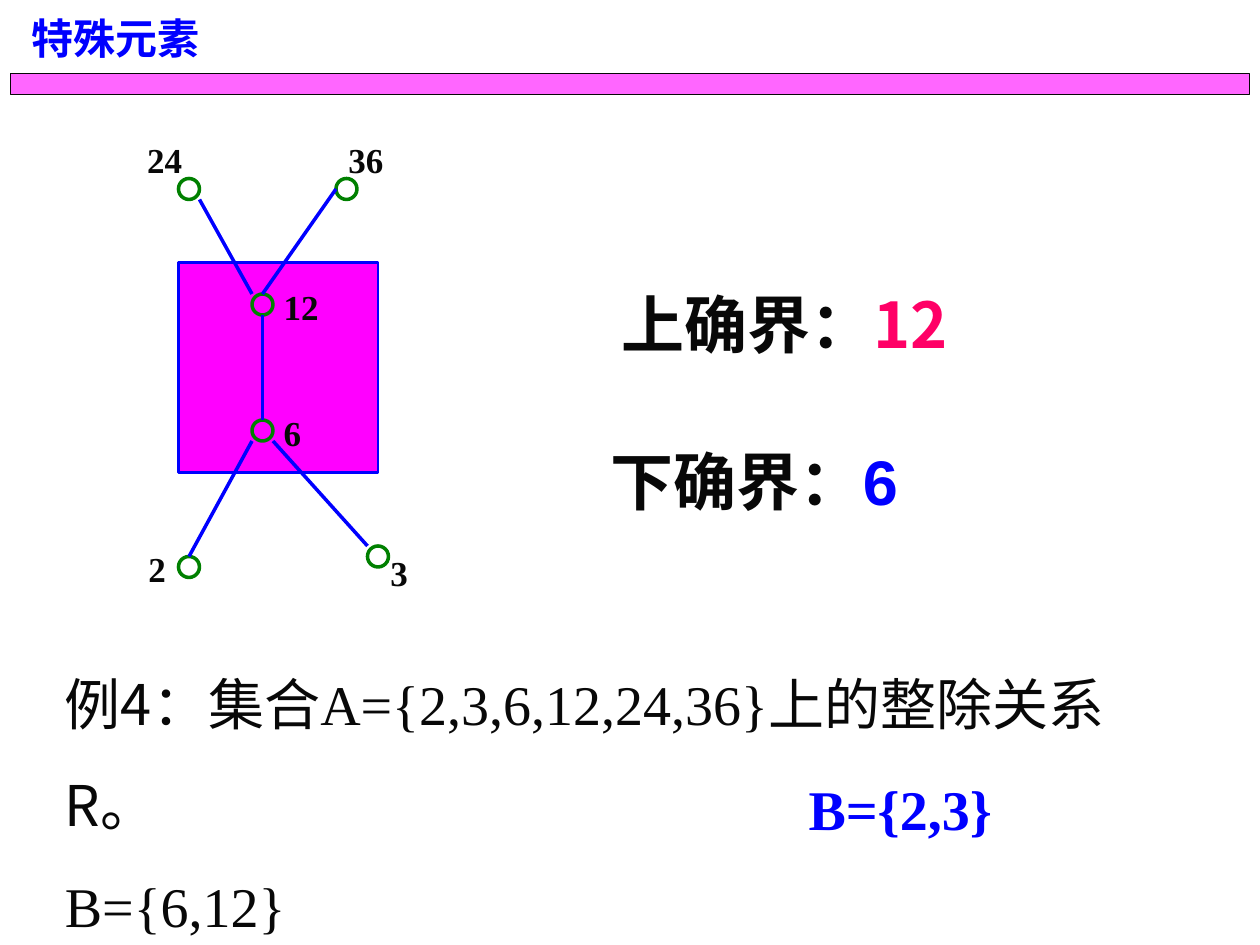
from lxml import etree
from pptx import Presentation
from pptx.dml.color import RGBColor
from pptx.enum.shapes import MSO_CONNECTOR, MSO_SHAPE
from pptx.enum.text import MSO_AUTO_SIZE
from pptx.oxml.ns import qn
from pptx.util import Pt

RECT, OVAL = MSO_SHAPE.RECTANGLE, MSO_SHAPE.OVAL
STRAIGHT = MSO_CONNECTOR.STRAIGHT
GROW = MSO_AUTO_SIZE.SHAPE_TO_FIT_TEXT

INK, BLUE, GREEN, MAGENTA, PINK = "080808", "0000FF", "008000", "FF00FF", "FF0066"
SERIF, SANS, CJK = "Times New Roman", "Arial", "Noto Sans CJK SC"
NODE = 12


def color(hex_text):
    return RGBColor.from_string(hex_text)


class SlideWriter:
    def __init__(self, page):
        self.page = page

    def shape(self, kind, left, top, width, height, line, weight, fill=None, alpha=None):
        shape = self.page.shapes.add_shape(kind, Pt(left), Pt(top), Pt(width), Pt(height))
        shape.shadow.inherit = False
        shape.line.color.rgb = color(line)
        shape.line.width = Pt(weight)
        if fill is None:
            shape.fill.background()
            return
        shape.fill.solid()
        shape.fill.fore_color.rgb = color(fill)
        if alpha is not None:
            tint = shape._element.spPr.find(qn("a:solidFill")).find(qn("a:srgbClr"))
            etree.SubElement(tint, qn("a:alpha")).set("val", str(alpha * 1000))

    def line(self, start, end):
        line = self.page.shapes.add_connector(STRAIGHT, *map(Pt, start + end))
        line.line.color.rgb = color(BLUE)
        line.line.width = Pt(2)
        etree.SubElement(line._element.spPr, qn("a:effectLst"))

    def text(self, left, top, width, height, paras, size, bold=True, wrap=True):
        """Each paragraph is a list of (text, font, colour) runs."""
        box = self.page.shapes.add_textbox(Pt(left), Pt(top), Pt(width), Pt(height))
        frame = box.text_frame
        frame.word_wrap = wrap
        frame.auto_size = GROW
        for index, spans in enumerate(paras):
            para = frame.add_paragraph() if index else frame.paragraphs[0]
            para.line_spacing = 1.5
            for words, font, tone in spans:
                span = para.add_run()
                span.text = words
                span.font.name = font
                span.font.size = Pt(size)
                span.font.bold = bold
                span.font.color.rgb = color(tone)


def main():
    deck = Presentation()
    deck.slide_width, deck.slide_height = Pt(720), Pt(540)
    writer = SlideWriter(deck.slides.add_slide(deck.slide_layouts[6]))

    # Hasse diagram: subset B, then the nodes with their labels
    writer.shape(RECT, 102, 150, 114, 120, BLUE, 1.5, MAGENTA)
    nodes = {"24": (102, 102), "36": (192, 102), "12": (144, 168),
             "6": (144, 240), "2": (102, 318), "3": (210, 312)}
    labels = {"24": (77, 63.4), "36": (192, 63.4), "12": (155, 147.4),
              "6": (155, 219.4), "2": (77.7, 297.4), "3": (216, 299.4)}
    for left, top in nodes.values():
        writer.shape(OVAL, left, top, NODE, NODE, GREEN, 2)
    for name, (left, top) in labels.items():
        width = 14.4 + 10 * len(name)
        writer.text(left, top, width, 43.2, [[(name, SERIF, INK)]], 20, wrap=False)

    # Each edge end is a node and a fraction of its width and height
    edges = [(("24", 1, 1), ("12", 0, 0)), (("12", 0.5, 0), ("36", 0, 0.5)),
             (("12", 0.5, 1), ("6", 0.5, 0)), (("6", 0, 1), ("2", 0.5, 0)),
             (("6", 1, 1), ("3", 0, 0))]
    for edge in edges:
        start, end = [(nodes[name][0] + across * NODE, nodes[name][1] + down * NODE)
                      for name, across, down in edge]
        writer.line(start, end)

    # Heading
    writer.shape(RECT, 6, 42, 708, 12, INK, 0.75, MAGENTA, alpha=60)
    writer.text(10.8, -10.8, 145.4, 50.4, [[("特殊元素", SANS, BLUE)]], 24)

    # Example and its bounds
    example = [[("例4：集合", CJK, INK), ("A={2,3,6,12,24,36}", SERIF, INK),
                ("上的整除关系R。", CJK, INK)],
               [("B={6,12}", SERIF, INK)]]
    writer.text(30, 360, 654.5, 122.4, example, 32, bold=False)
    writer.text(348, 138, 270, 72, [[("上确界：", CJK, INK), ("12", CJK, PINK)]], 36)
    writer.text(342, 228, 264, 72, [[("下确界：", SANS, INK), ("6", SANS, BLUE)]], 36)
    writer.text(455, 420, 175, 64.8, [[("B={2,3}", SERIF, BLUE)]], 32)

    deck.save("out.pptx")


if __name__ == "__main__":
    main()
